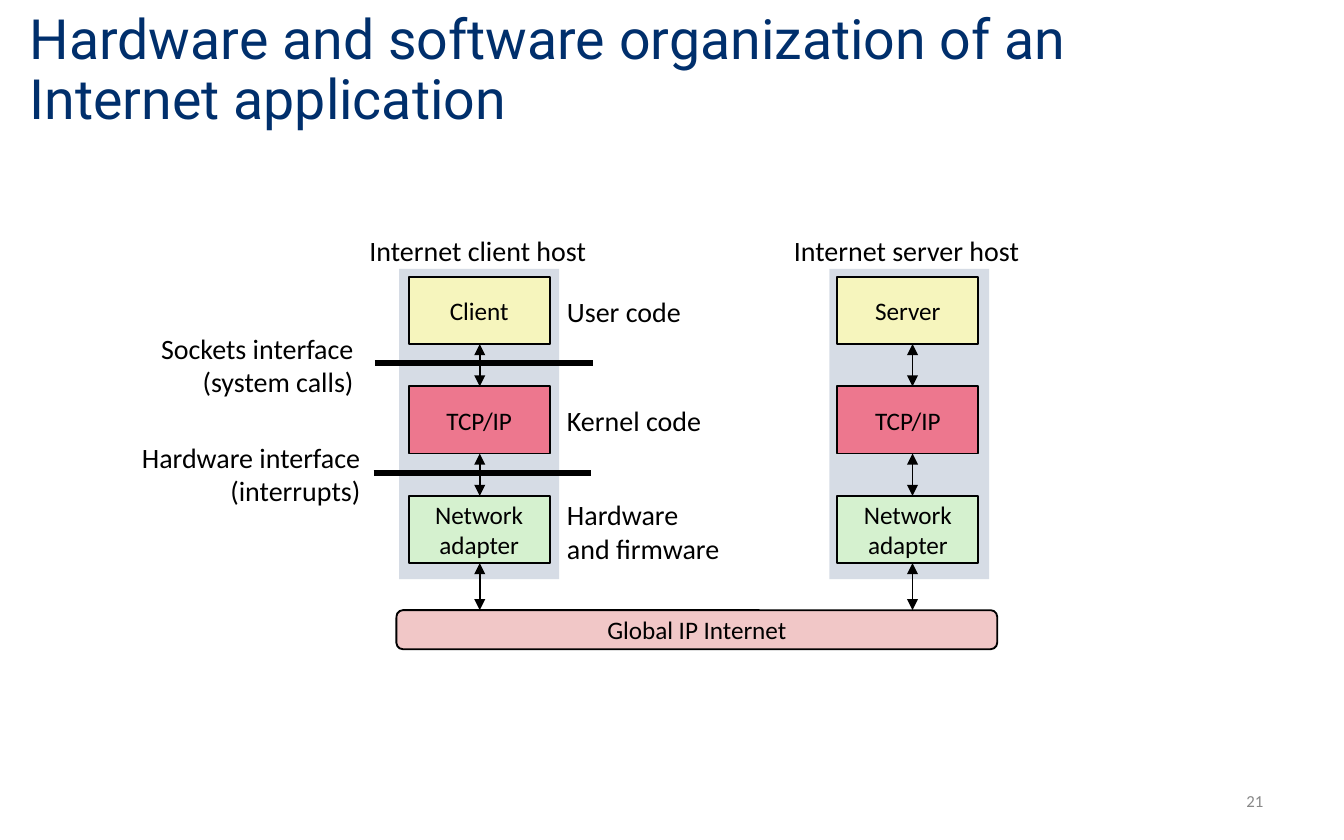
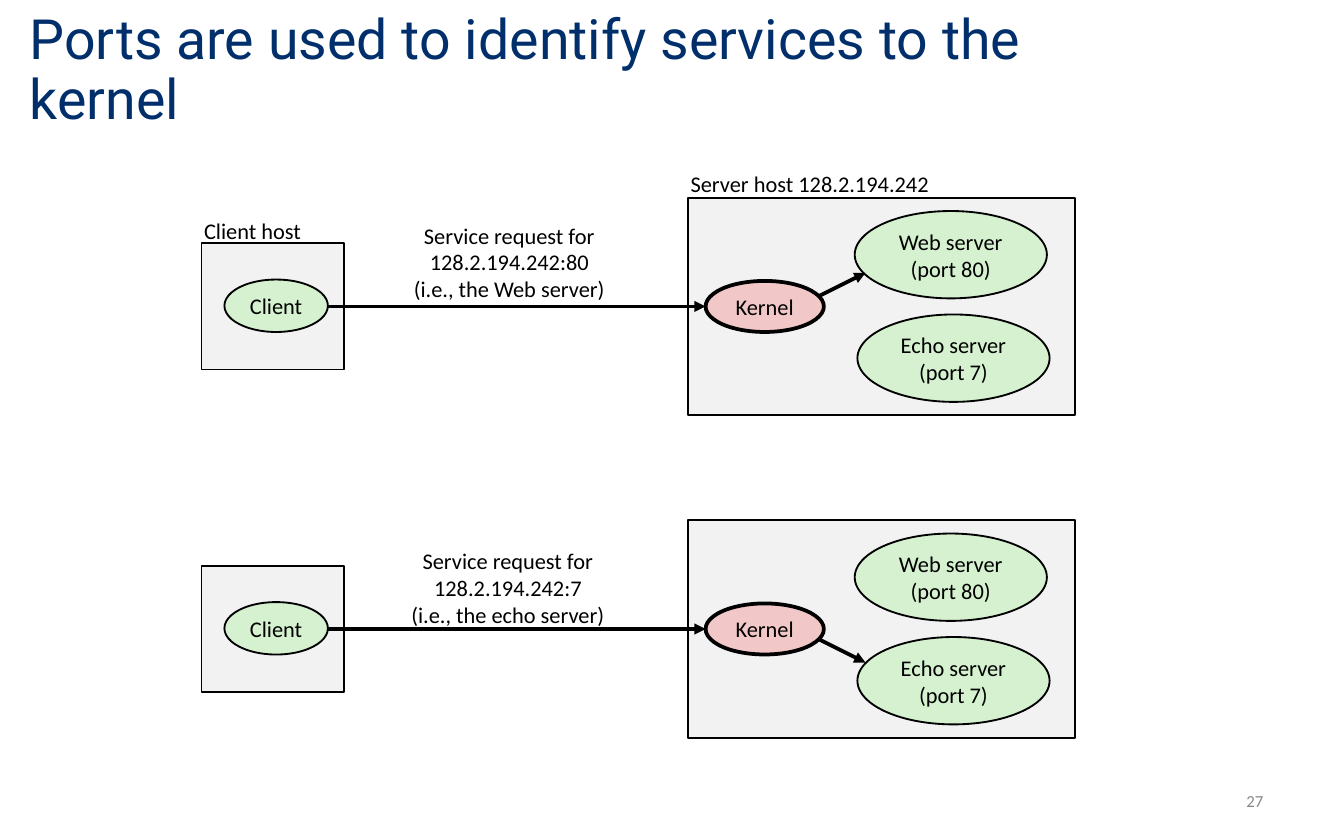
from lxml import etree
from pptx import Presentation
from pptx.dml.color import RGBColor
from pptx.enum.shapes import MSO_CONNECTOR, MSO_SHAPE as SHAPE
from pptx.enum.text import MSO_ANCHOR as ANCHOR, PP_ALIGN as ALIGN
from pptx.oxml.ns import qn
from pptx.util import Inches, Pt

COLORS = {
    "title": "002F6C",
    "ink": "000000",
    "page_number": "888888",
    "host": "D6DCE5",
    "user": "F6F5BD",
    "kernel": "ED778E",
    "process": "D5F1CF",
    "network": "F1C7C7",
    "machine": "F2F2F2",
}
TITLE_FONT, BODY_FONT = "Roboto", "Calibri"


def add_block(slide, box, lines=(), size=12, fill=None, kind=None, border=1,
              align=ALIGN.CENTER, anchor=ANCHOR.MIDDLE, color="ink"):
    """Add a filled shape of the given kind, or a text box if kind is None."""
    place = [Inches(length) for length in box]
    if kind is None:
        block = slide.shapes.add_textbox(*place)
    else:
        block = slide.shapes.add_shape(kind, *place)
        block.shadow.inherit = False
        block.fill.solid()
        block.fill.fore_color.rgb = RGBColor.from_string(COLORS[fill])
        if border:
            block.line.color.rgb = RGBColor.from_string(COLORS["ink"])
            block.line.width = Pt(border)
        else:
            block.line.fill.background()
    frame = block.text_frame
    frame.word_wrap = False
    frame.vertical_anchor = anchor
    for index, line in enumerate(lines):
        paragraph = frame.add_paragraph() if index else frame.paragraphs[0]
        paragraph.alignment = align
        run = paragraph.add_run()
        run.text = line
        run.font.name = BODY_FONT
        run.font.size = Pt(size)
        run.font.color.rgb = RGBColor.from_string(COLORS[color])


def add_line(slide, start, end, width, arrows=()):
    """Draw a line; arrows may hold headEnd and tailEnd, in that order."""
    line = slide.shapes.add_connector(
        MSO_CONNECTOR.STRAIGHT, *[Inches(length) for length in (*start, *end)])
    line.line.color.rgb = RGBColor.from_string(COLORS["ink"])
    line.line.width = Pt(width)
    for arrow in arrows:
        etree.SubElement(line.line._get_or_add_ln(), qn(f"a:{arrow}"), type="triangle")
    etree.SubElement(line._element.spPr, qn("a:effectLst"))


deck = Presentation()
deck.slide_width, deck.slide_height = Inches(10), Inches(6.25)
title_only = deck.slide_layouts[5]

slides = []
for heading, page in (
    ("Hardware and software organization of an Internet application", "21"),
    ("Ports are used to identify services to the kernel", "27"),
):
    slide = deck.slides.add_slide(title_only)
    title = slide.shapes.title
    title.left, title.top = Inches(0.12), Inches(0.1)
    title.width, title.height = Inches(8.52), Inches(0.86)
    title.text_frame.vertical_anchor = ANCHOR.MIDDLE
    paragraph = title.text_frame.paragraphs[0]
    paragraph.alignment = ALIGN.LEFT
    paragraph.line_spacing = 0.9
    run = paragraph.add_run()
    run.text = heading
    run.font.name = TITLE_FONT
    run.font.size = Pt(29.7)
    run.font.color.rgb = RGBColor.from_string(COLORS["title"])
    add_block(slide, (8, 5.79, 1.5, 0.33), [page], 9, align=ALIGN.RIGHT,
              color="page_number")
    slides.append(slide)
organization, ports = slides

# Hardware and software organization
LAYER_TOP, LAYER_STEP, LAYER_HEIGHT = 2.06, 0.815, 0.5
INTERNET_TOP = 4.54
add_block(organization, (2.95, INTERNET_TOP, 4.47, 0.29), ["Global IP Internet"], 13.5,
          "network", SHAPE.ROUNDED_RECTANGLE)

for host_left, layer_left, arrow_x, program, caption, caption_box in (
    (2.97, 3.04, 3.57, "Client", "Internet client host", (2.64, 1.69, 1.83, 0.35)),
    (6.17, 6.23, 6.79, "Server", "Internet server host", (5.8, 1.69, 1.89, 0.35)),
):
    add_block(organization, (host_left, 2, 1.19, 2.31), fill="host",
              kind=SHAPE.RECTANGLE, border=0)
    add_block(organization, caption_box, [caption], 15)
    layers = (([program], "user"), (["TCP/IP"], "kernel"),
              (["Network", "adapter"], "process"))
    for level, (label, fill) in enumerate(layers):
        top = LAYER_TOP + level * LAYER_STEP
        bottom = top + LAYER_HEIGHT
        add_block(organization, (layer_left, top, 1.05, LAYER_HEIGHT), label, 13.5,
                  fill, SHAPE.RECTANGLE)
        next_top = min(top + LAYER_STEP, INTERNET_TOP)
        if level == len(layers) - 1:
            next_top = INTERNET_TOP
        add_line(organization, (arrow_x, bottom), (arrow_x, next_top), 1,
                 ("headEnd", "tailEnd"))

for note_box, note, align in (
    ((1.06, 2.41, 1.67, 0.61), ["Sockets interface", "(system calls)"], ALIGN.RIGHT),
    ((0.93, 3.22, 1.85, 0.61), ["Hardware interface", "(interrupts)"], ALIGN.RIGHT),
    ((4.12, 2.14, 1.06, 0.35), ["User code"], ALIGN.LEFT),
    ((4.12, 2.95, 1.21, 0.35), ["Kernel code"], ALIGN.LEFT),
    ((4.12, 3.65, 1.35, 0.61), ["Hardware", "and firmware"], ALIGN.LEFT),
):
    add_block(organization, note_box, note, 15, align=align)

for interface_left, interface_y in ((2.79, 2.7), (2.78, 3.52)):
    add_line(organization, (interface_left, interface_y),
             (interface_left + 1.62, interface_y), 3)

# Ports and services
for machine_box, machine in (
    ((1.42, 1.57, 0.93, 0.3), "Client host"),
    ((5.04, 1.22, 2, 0.3), "Server host 128.2.194.242"),
):
    add_block(ports, machine_box, [machine], align=ALIGN.LEFT, anchor=ANCHOR.TOP)

for drop, port, service, request_box, route_start, route_end in (
    (0, "80", "Web", (2.7, 1.6, 2.18, 0.71), 2.22, 2.03),
    (2.4, "7", "echo", (2.95, 4.02, 1.66, 0.71), 4.74, 4.93),
):
    add_block(ports, (1.5, 1.81 + drop, 1.06, 0.94), fill="machine",
              kind=SHAPE.RECTANGLE)
    add_block(ports, (5.12, 1.47 + drop, 2.88, 1.62), fill="machine",
              kind=SHAPE.RECTANGLE)
    add_block(ports, (6.36, 1.57 + drop, 1.43, 0.65), ["Web server", "(port 80)"],
              fill="process", kind=SHAPE.OVAL)
    add_block(ports, (6.38, 2.34 + drop, 1.43, 0.65), ["Echo server", "(port 7)"],
              fill="process", kind=SHAPE.OVAL)
    add_block(ports, request_box,
              ["Service request for", f"128.2.194.242:{port}",
               f"(i.e., the {service} server)"], anchor=ANCHOR.TOP)
    add_line(ports, (2.44, 2.28 + drop), (5.25, 2.28 + drop), 2, ["tailEnd"])
    add_line(ports, (6.06, route_start), (6.44, route_end), 2, ["tailEnd"])
    add_block(ports, (5.25, 2.09 + drop, 0.88, 0.38), ["Kernel"], fill="network",
              kind=SHAPE.OVAL, border=2)
    add_block(ports, (1.67, 2.08 + drop, 0.77, 0.39), ["Client"], fill="process",
              kind=SHAPE.OVAL)

deck.save("out.pptx")
